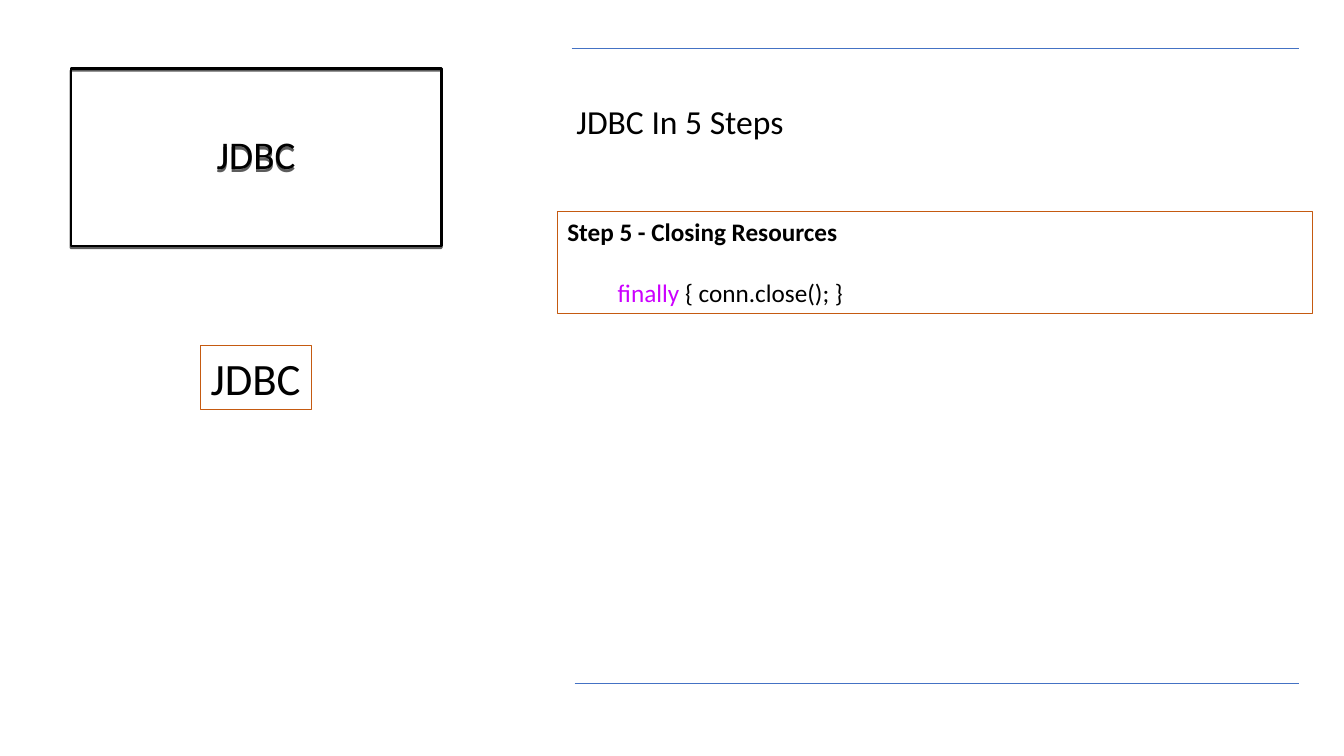
from dataclasses import dataclass

from lxml.etree import SubElement
from pptx import Presentation
from pptx.dml.color import RGBColor
from pptx.enum.shapes import MSO_CONNECTOR, MSO_SHAPE
from pptx.enum.text import MSO_ANCHOR, MSO_AUTO_SIZE, PP_ALIGN
from pptx.oxml.ns import qn
from pptx.util import Inches, Pt


@dataclass(frozen=True)
class Theme:
    font: str = "Calibri"
    ink: str = "000000"
    rule: str = "4472C4"
    frame: str = "C55A11"
    keyword: str = "CC00FF"
    body: int = 18
    heading: int = 24
    title: int = 28
    label: int = 32
    hairline: float = 0.5
    thin: float = 0.75
    thick: float = 1.5


class SlideBuilder:
    """Draws styled elements on a grid of 160 columns by 90 rows."""

    columns, rows = 160, 90

    def __init__(self, prs, theme):
        self.theme = theme
        self.col = prs.slide_width / self.columns
        self.row = prs.slide_height / self.rows
        self.s = prs.slides.add_slide(prs.slide_layouts[6])

    def place(self, x, y):
        return round(x * self.col), round(y * self.row)

    def stroke(self, sp, color, width):
        sp.line.color.rgb = RGBColor.from_string(color)
        sp.line.width = Pt(width)

    def rule(self, left, right, y):
        sp = self.s.shapes.add_connector(
            MSO_CONNECTOR.STRAIGHT, *self.place(left, y), *self.place(right, y))
        self.stroke(sp, self.theme.rule, self.theme.hairline)
        SubElement(sp._element.spPr, qn("a:effectLst"))

    def box(self, x, y, w, h, color, width):
        sp = self.s.shapes.add_shape(
            MSO_SHAPE.RECTANGLE, *self.place(x, y), *self.place(w, h))
        sp.shadow.inherit = False
        sp.fill.background()
        self.stroke(sp, color, width)
        return sp

    def textbox(self, x, y, w, h):
        return self.s.shapes.add_textbox(*self.place(x, y), *self.place(w, h))

    def frame(self, sp, wrap=True, anchor=MSO_ANCHOR.TOP, grow=True):
        tf = sp.text_frame
        tf.word_wrap = wrap
        tf.vertical_anchor = anchor
        tf.auto_size = MSO_AUTO_SIZE.SHAPE_TO_FIT_TEXT if grow else MSO_AUTO_SIZE.NONE
        return tf

    def add_text(self, p, runs, size, bold=False, align=PP_ALIGN.LEFT):
        p.alignment = align
        p.font.name = self.theme.font
        p.font.size = Pt(size)
        p.font.bold = bold
        for text, color in runs:
            r = p.add_run()
            r.text = text
            r.font.color.rgb = RGBColor.from_string(color)

    def shadow(self, sp, color, opacity, distance):
        effects = sp._element.spPr.find(qn("a:effectLst"))
        shade = SubElement(effects, qn("a:outerShdw"), dist=str(Pt(distance)),
                           dir="5400000", algn="ctr", rotWithShape="0")
        tint = SubElement(shade, qn("a:srgbClr"), val=color)
        SubElement(tint, qn("a:alpha"), val=str(opacity * 1000))


def main():
    prs = Presentation()
    prs.slide_width, prs.slide_height = Inches(13.33), Inches(7.5)
    theme = Theme()
    slide = SlideBuilder(prs, theme)

    title = slide.box(8.4, 8.16, 44.16, 21.12, theme.ink, theme.thick)
    slide.shadow(title, theme.ink, 63, 1.5)
    tf = slide.frame(title, anchor=MSO_ANCHOR.MIDDLE, grow=False)
    slide.add_text(tf.paragraphs[0], [("JDBC", theme.ink)], theme.title,
                   align=PP_ALIGN.CENTER)
    tf.paragraphs[0].line_spacing = 0.9

    slide.rule(68.04, 154.68, 5.76)
    slide.rule(68.4, 154.68, 81.36)

    label = slide.box(23.88, 41.16, 13.2, 7.56, theme.frame, theme.thin)
    tf = slide.frame(label, wrap=False)
    slide.add_text(tf.paragraphs[0], [("JDBC", theme.ink)], theme.label)

    step = slide.box(66.36, 25.2, 89.88, 12.12, theme.frame, theme.thin)
    tf = slide.frame(step)
    slide.add_text(tf.paragraphs[0], [("Step 5 - Closing Resources", theme.ink)],
                   theme.body, bold=True)
    code = tf.add_paragraph()
    code.space_before = Pt(22)
    slide.add_text(code, [("\t", theme.ink), ("finally", theme.keyword),
                          (" { conn.close(); }", theme.ink)], theme.body)

    heading = slide.textbox(67.44, 11.4, 79.92, 6)
    tf = slide.frame(heading)
    slide.add_text(tf.paragraphs[0], [("JDBC In 5 Steps", theme.ink)], theme.heading)

    prs.save("out.pptx")


if __name__ == "__main__":
    main()
